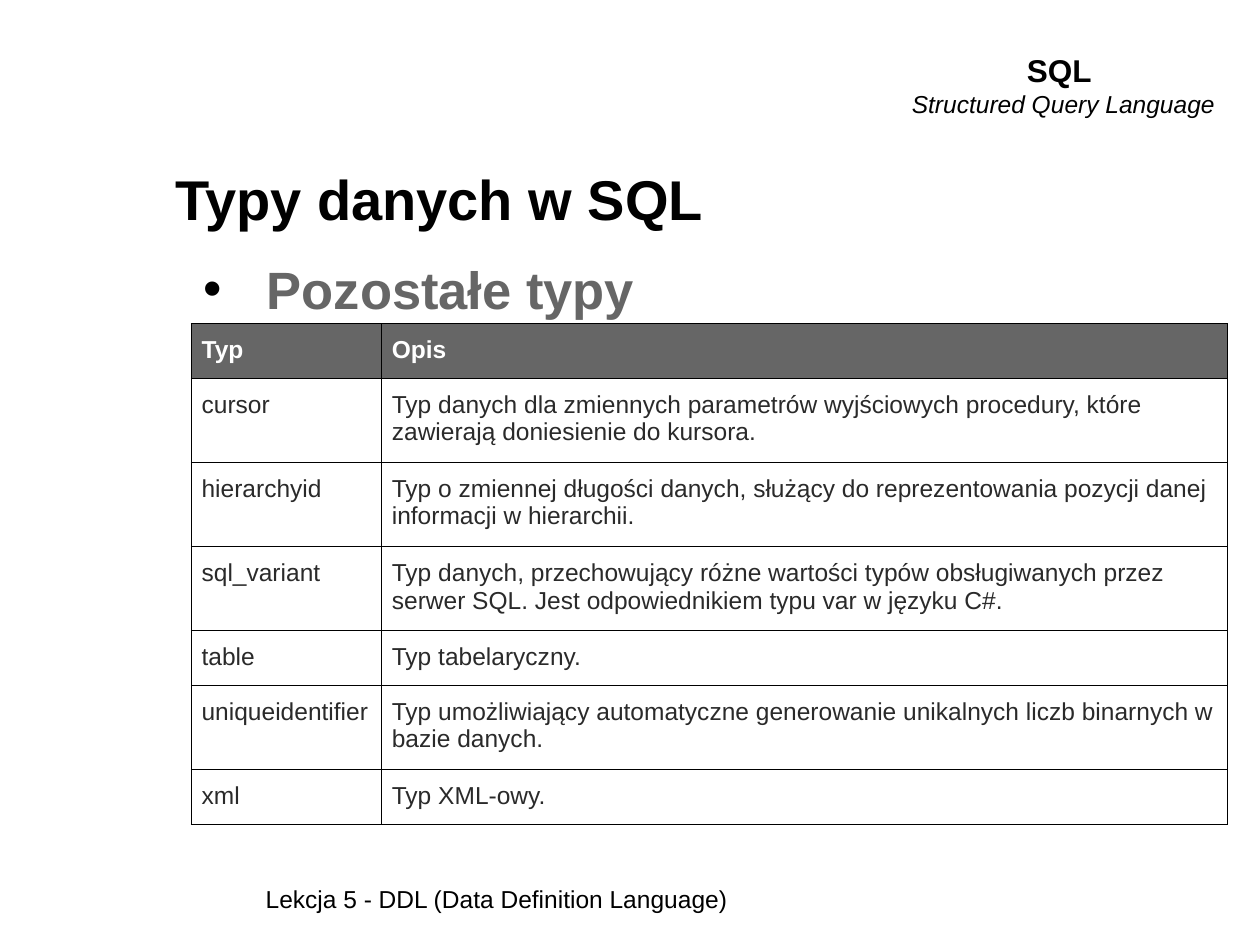
from dataclasses import dataclass, field

from lxml.etree import SubElement
from pptx import Presentation
from pptx.dml.color import RGBColor
from pptx.enum.text import MSO_ANCHOR as Anchor, MSO_AUTO_SIZE as AutoSize, PP_ALIGN as Align
from pptx.oxml.ns import qn
from pptx.util import Inches, Pt

COLORS = {"ink": "000000", "accent": "666666", "body": "2A2A2A", "paper": "FFFFFF"}
FONT = "Arial"
BORDER_PT = 0.75
TABLE_LEFT, TABLE_TOP = 1.52, 2.57
COLUMN_WIDTHS = (1.51, 6.71)
LINE_HEIGHT, ROW_PADDING = 0.23, 0.18

HEADINGS = ("Typ", "Opis")


@dataclass
class Line:
    text: str
    size: float
    color: str = "ink"
    font: dict = field(default_factory=dict)
    paragraph: dict = field(default_factory=dict)
    indent: tuple = (0, 0)
    bullet: str = ""


@dataclass
class Block:
    box: tuple
    lines: list
    frame: dict = field(default_factory=dict)


@dataclass
class DataType:
    name: str
    description: str
    line_count: int


TITLE = Block(
    (1.04, 0.69, 9, 1.25),
    [Line("Typy danych w SQL", 32, font={"bold": True},
          paragraph={"alignment": Align.LEFT}, indent=(0, 0.25))],
    {"vertical_anchor": Anchor.BOTTOM, "auto_size": AutoSize.NONE,
     "margin_top": Inches(0.1), "margin_bottom": Inches(0.1)},
)
COURSE = Block(
    (7.13, 0.36, 2.62, 0.64),
    [Line("SQL ", 18, font={"bold": True}, paragraph={"alignment": Align.CENTER}),
     Line("Structured Query Language", 14, font={"italic": True},
          paragraph={"alignment": Align.CENTER})],
    {"word_wrap": False, "auto_size": AutoSize.SHAPE_TO_FIT_TEXT},
)
LESSON = Block(
    (2.01, 6.97, 7.99, 0.34),
    [Line("Lekcja 5 - DDL (Data Definition Language)", 14)],
    {"auto_size": AutoSize.SHAPE_TO_FIT_TEXT},
)
SUBJECT = Block(
    (1.52, 1.94, 8.65, 4.41),
    [Line("Pozostałe typy", 30, "accent", {"bold": True},
          {"space_before": Pt(6)}, (0.5, -0.5), "•")],
    {"margin_top": Inches(0.1), "margin_bottom": Inches(0.1)},
)
DATA_TYPES = [
    DataType("cursor", "Typ danych dla zmiennych parametrów wyjściowych procedury, "
             "które zawierają doniesienie do kursora.", 2),
    DataType("hierarchyid", "Typ o zmiennej długości danych, służący do reprezentowania "
             "pozycji danej informacji w hierarchii.", 2),
    DataType("sql_variant", "Typ danych, przechowujący różne wartości typów obsługiwanych "
             "przez serwer SQL. Jest odpowiednikiem typu var w języku C#.", 2),
    DataType("table", "Typ tabelaryczny.", 1),
    DataType("uniqueidentifier", "Typ umożliwiający automatyczne generowanie unikalnych "
             "liczb binarnych w bazie danych.", 2),
    DataType("xml", "Typ XML-owy.", 1),
]


def apply(target, values: dict) -> None:
    for name, value in values.items():
        setattr(target, name, value)


def rgb(color: str) -> RGBColor:
    return RGBColor.from_string(COLORS[color])


def write_lines(frame, lines: list) -> None:
    for number, line in enumerate(lines):
        paragraph = frame.add_paragraph() if number else frame.paragraphs[0]
        apply(paragraph, line.paragraph)
        run = paragraph.add_run()
        run.text = line.text
        apply(run.font, {"name": FONT, "size": Pt(line.size), "bold": False, **line.font})
        run.font.color.rgb = rgb(line.color)
        properties = paragraph._p.get_or_add_pPr()
        if any(line.indent):
            margin, first = line.indent
            properties.set("marL", str(Inches(margin)))
            properties.set("indent", str(Inches(first)))
        if line.bullet:
            bullet_color = SubElement(properties, qn("a:buClr"))
            SubElement(bullet_color, qn("a:srgbClr"), val=COLORS["ink"])
            SubElement(properties, qn("a:buFont"), typeface=FONT)
            SubElement(properties, qn("a:buChar"), char=line.bullet)


def fill_block(shape, block: Block) -> None:
    sides = ("left", "top", "width", "height")
    apply(shape, dict(zip(sides, map(Inches, block.box))))
    apply(shape.text_frame, {"word_wrap": True, **block.frame})
    write_lines(shape.text_frame, block.lines)


def add_text(slide, block: Block) -> None:
    fill_block(slide.shapes.add_textbox(*map(Inches, block.box)), block)


def add_borders(cell) -> None:
    properties = cell._tc.get_or_add_tcPr()
    for position, side in enumerate(("a:lnL", "a:lnR", "a:lnT", "a:lnB")):
        edge = properties.makeelement(qn(side), {"w": str(Pt(BORDER_PT))})
        paint = SubElement(edge, qn("a:solidFill"))
        SubElement(paint, qn("a:srgbClr"), val=COLORS["ink"])
        properties.insert(position, edge)


def fill_cell(cell, text: str, is_heading: bool) -> None:
    apply(cell, {"margin_left": Inches(0.08), "margin_right": Inches(0.08),
                 "margin_top": Inches(0.1), "margin_bottom": Inches(0.1)})
    if is_heading:
        cell.fill.solid()
        cell.fill.fore_color.rgb = rgb("accent")
    else:
        cell.fill.background()
    color = "paper" if is_heading else "body"
    write_lines(cell.text_frame, [Line(text, 14, color, {"bold": is_heading})])
    add_borders(cell)


def add_type_table(slide, data_types: list) -> None:
    rows = [DataType(*HEADINGS, 1), *data_types]
    heights = [ROW_PADDING + LINE_HEIGHT * row.line_count for row in rows]
    table = slide.shapes.add_table(
        len(rows), len(COLUMN_WIDTHS), Inches(TABLE_LEFT), Inches(TABLE_TOP),
        Inches(sum(COLUMN_WIDTHS)), Inches(sum(heights))).table
    apply(table, {"first_row": False, "horz_banding": False})
    for column, width in zip(table.columns, COLUMN_WIDTHS):
        column.width = Inches(width)
    for index, (row, height) in enumerate(zip(rows, heights)):
        table.rows[index].height = Inches(height)
        for column, text in enumerate((row.name, row.description)):
            fill_cell(table.cell(index, column), text, index == 0)


def main() -> None:
    deck = Presentation()
    apply(deck, {"slide_width": Inches(10), "slide_height": Inches(7.5)})
    slide = deck.slides.add_slide(deck.slide_layouts[5])
    fill_block(slide.shapes.title, TITLE)
    for block in (COURSE, LESSON, SUBJECT):
        add_text(slide, block)
    add_type_table(slide, DATA_TYPES)
    deck.save("out.pptx")


main()
